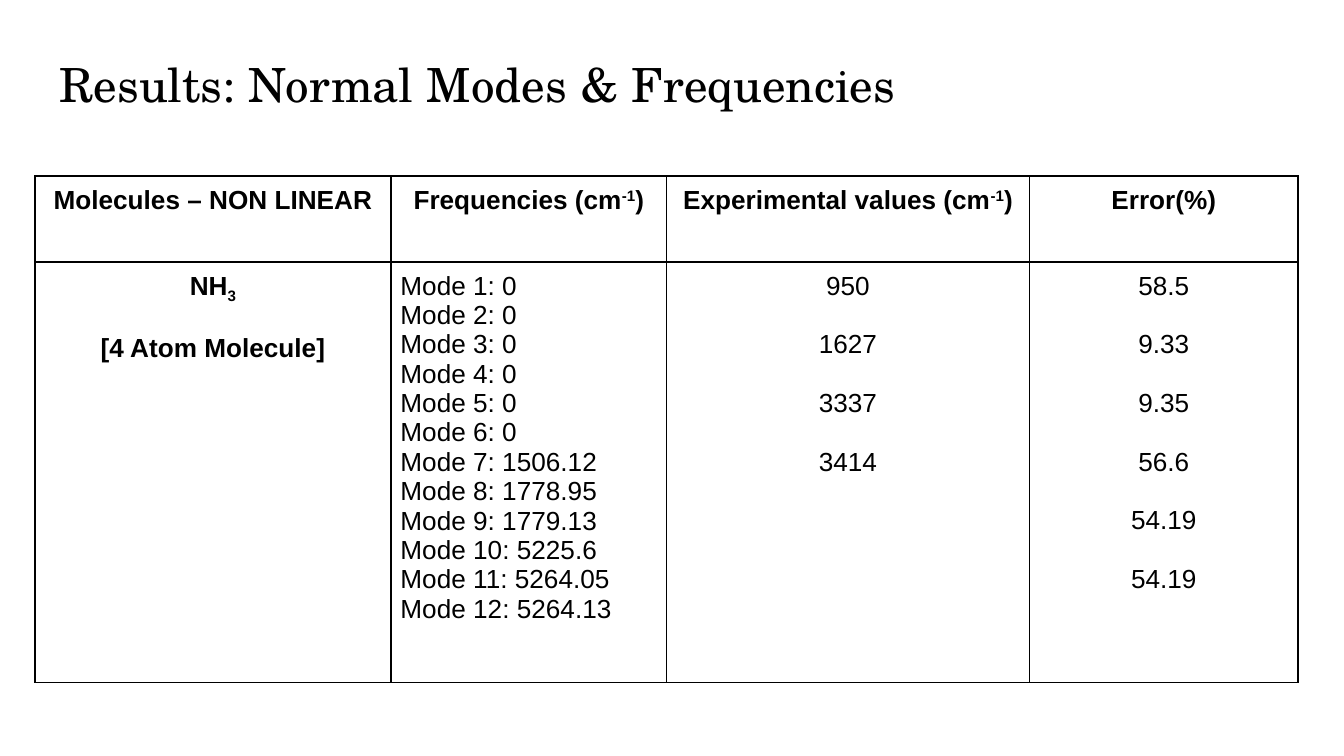
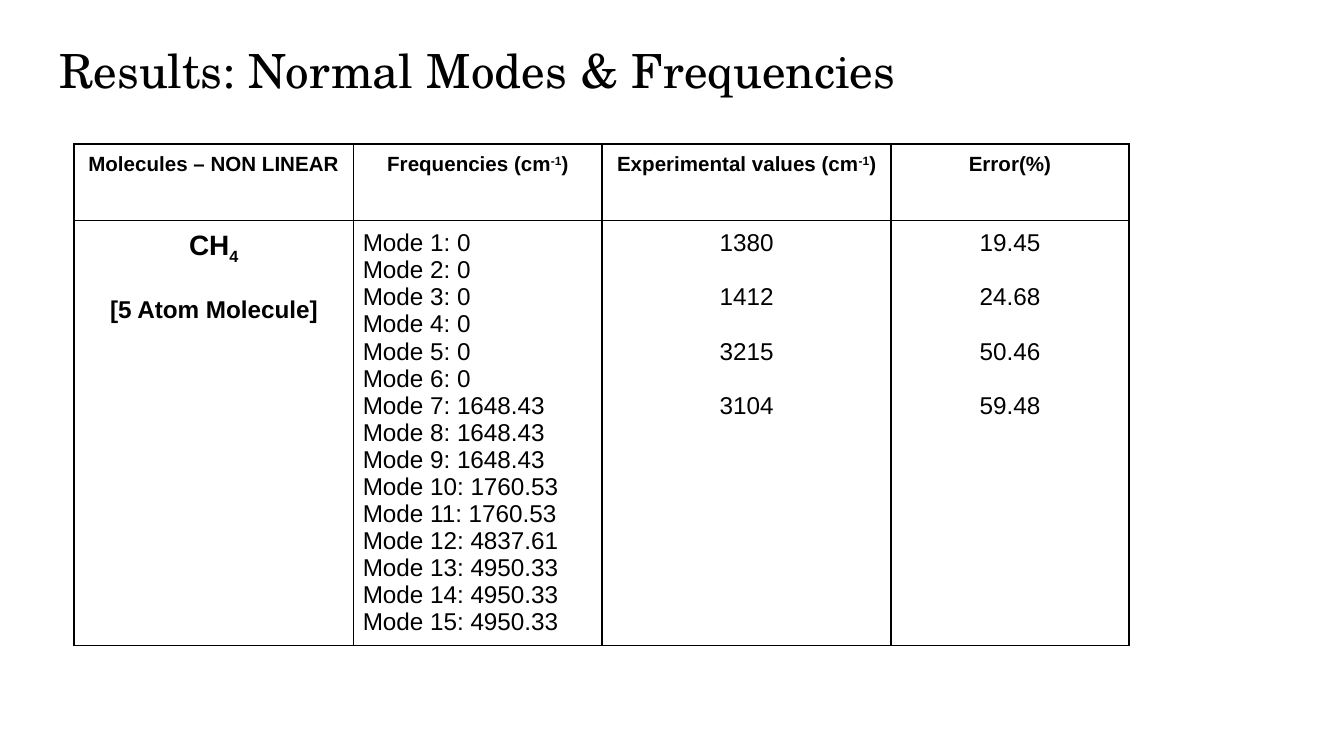
from lxml import etree
from pptx import Presentation
from pptx import util as u
from pptx.dml.color import RGBColor
from pptx.enum import text
from pptx.oxml.ns import qn

BLACK = RGBColor(0, 0, 0)
TITLE = "Results: Normal Modes & Frequencies"
TITLE_FONT = {"name": "TeX Gyre Schola", "size": u.Pt(25.2), "bold": False}
SUPERSCRIPT, SUBSCRIPT = "30000", "-25000"
LINE_HEIGHT = 1.12
CENTER, LEFT = text.PP_ALIGN.CENTER, text.PP_ALIGN.LEFT
HEADERS = [
    [("Molecules – NON LINEAR", None)],
    [("Frequencies (cm", None), ("-1", SUPERSCRIPT), (")", None)],
    [("Experimental values (cm", None), ("-1", SUPERSCRIPT), (")", None)],
    [("Error(%)", None)],
]


def apply(target, values):
    for name, value in values.items():
        setattr(target, name, value)


class ResultsDeck:
    def __init__(self):
        self.deck = Presentation()
        self.deck.slide_width = u.Inches(10)
        self.deck.slide_height = u.Inches(5.625)
        self.page = None

    def add_page(self, title_top):
        self.page = self.deck.slides.add_slide(self.deck.slide_layouts[5])
        box = self.page.shapes.title
        apply(box, {"left": u.Inches(0.34), "top": u.Inches(title_top),
                    "width": u.Inches(9.32), "height": u.Inches(0.63)})
        frame = box.text_frame
        margins = dict.fromkeys(
            ("margin_left", "margin_top", "margin_right", "margin_bottom"), u.Inches(0.1))
        apply(frame, {**margins, "word_wrap": True,
                      "auto_size": text.MSO_AUTO_SIZE.NONE,
                      "vertical_anchor": text.MSO_ANCHOR.TOP})
        para = frame.paragraphs[0]
        para.alignment = LEFT
        self.add_span(para, TITLE, TITLE_FONT)

    def add_span(self, para, words, style, baseline=None):
        span = para.add_run()
        span.text = words
        apply(span.font, style)
        span.font.color.rgb = BLACK
        if baseline:
            span.font.size = style["size"]
            span._r.get_or_add_rPr().set("baseline", baseline)

    def add_borders(self, cell):
        properties = cell._tc.get_or_add_tcPr()
        for position, side in enumerate(("a:lnL", "a:lnR", "a:lnT", "a:lnB")):
            line = etree.Element(qn(side), w=str(u.Pt(1)))
            fill = etree.SubElement(line, qn("a:solidFill"))
            etree.SubElement(fill, qn("a:srgbClr"), val=str(BLACK))
            properties.insert(position, line)

    def fill_cell(self, cell, lines, sizes, bold=False, align=CENTER, gap=0):
        margins = dict.fromkeys(
            ("margin_left", "margin_top", "margin_right", "margin_bottom"), u.Inches(0.07))
        apply(cell, margins)
        cell.fill.background()
        self.add_borders(cell)
        frame = cell.text_frame
        for index, (line, size) in enumerate(zip(lines, sizes)):
            para = frame.add_paragraph() if index else frame.paragraphs[0]
            para.alignment = align
            if index and gap:
                para.space_before = u.Pt(gap)
            style = {"name": "Arial", "size": u.Pt(size), "bold": bold}
            for words, baseline in line:
                self.add_span(para, words, style, baseline)

    def add_results(self, left, top, widths, heights, header_size, body_size,
                    formula_size, formula, atoms, modes, experiments, errors):
        table = self.page.shapes.add_table(
            len(heights), len(widths), u.Inches(left), u.Inches(top),
            u.Inches(sum(widths)), u.Inches(sum(heights))).table
        apply(table, {"first_row": False, "horz_banding": False})
        for column, width in zip(table.columns, widths):
            column.width = u.Inches(width)
        for row, height in zip(table.rows, heights):
            row.height = u.Inches(height)

        for column, header in enumerate(HEADERS):
            self.fill_cell(table.cell(0, column), [header], [header_size], bold=True)

        symbol, count = formula
        molecule = [[(symbol, None), (count, SUBSCRIPT)],
                    [(f"[{atoms} Atom Molecule]", None)]]
        self.fill_cell(table.cell(1, 0), molecule, [formula_size, body_size],
                       bold=True, gap=formula_size * LINE_HEIGHT)
        mode_lines = [[(f"Mode {number}: {value}", None)]
                      for number, value in enumerate(modes, 1)]
        self.fill_cell(table.cell(1, 1), mode_lines, [body_size] * len(modes), align=LEFT)
        for column, values in ((2, experiments), (3, errors)):
            self.fill_cell(table.cell(1, column), [[(value, None)] for value in values],
                           [body_size] * len(values), gap=body_size * LINE_HEIGHT)


def main():
    results = ResultsDeck()
    still = ["0"] * 6

    results.add_page(0.31)
    results.add_results(
        0.26, 1.31, [2.65, 2.05, 2.7, 2], [0.64, 3.13],
        header_size=14, body_size=14, formula_size=14, formula=("NH", "3"), atoms=4,
        modes=still + ["1506.12", "1778.95", "1779.13", "5225.6", "5264.05", "5264.13"],
        experiments=["950", "1627", "3337", "3414"],
        errors=["58.5", "9.33", "9.35", "56.6", "54.19", "54.19"])

    results.add_page(0.21)
    results.add_results(
        0.55, 1.07, [2.08, 1.85, 2.15, 1.77], [0.57, 3.06],
        header_size=11, body_size=13, formula_size=15, formula=("CH", "4"), atoms=5,
        modes=still + ["1648.43"] * 3 + ["1760.53"] * 2 + ["4837.61"] + ["4950.33"] * 3,
        experiments=["1380", "1412", "3215", "3104"],
        errors=["19.45", "24.68", "50.46", "59.48"])

    results.deck.save("out.pptx")


if __name__ == "__main__":
    main()
